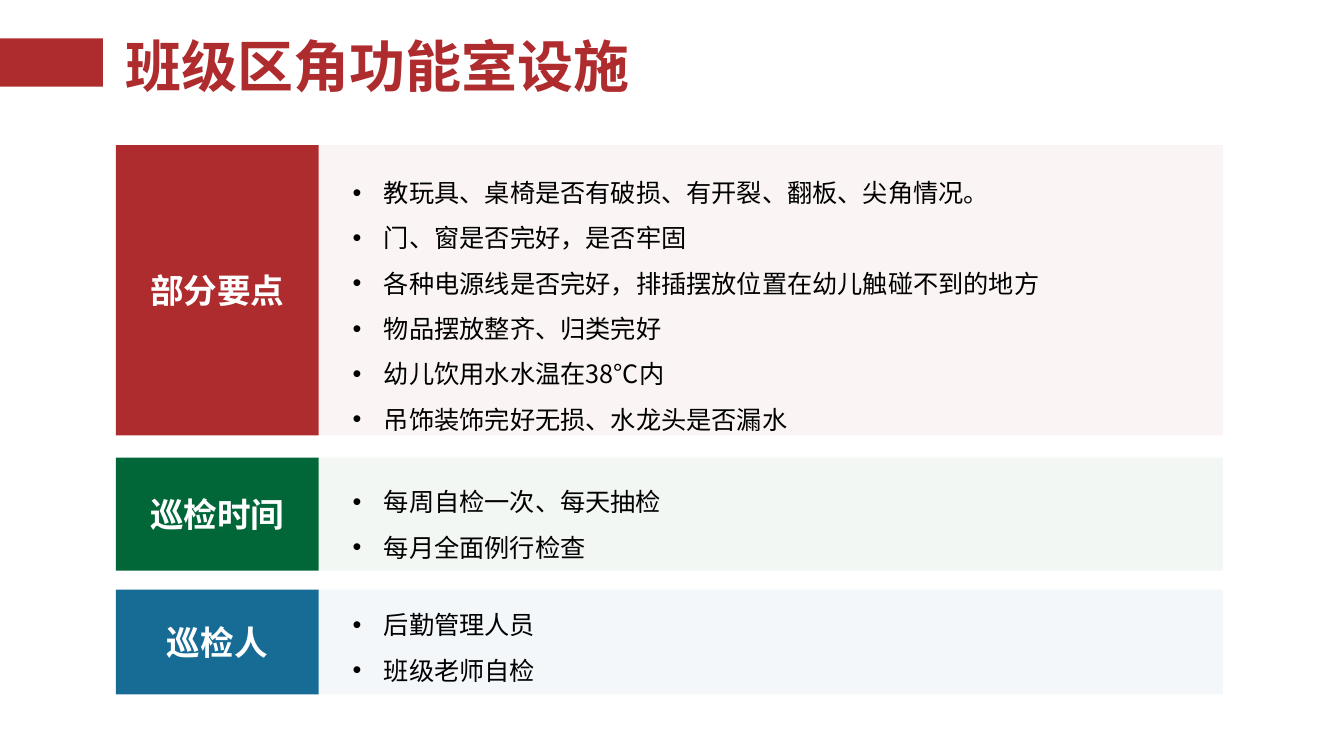
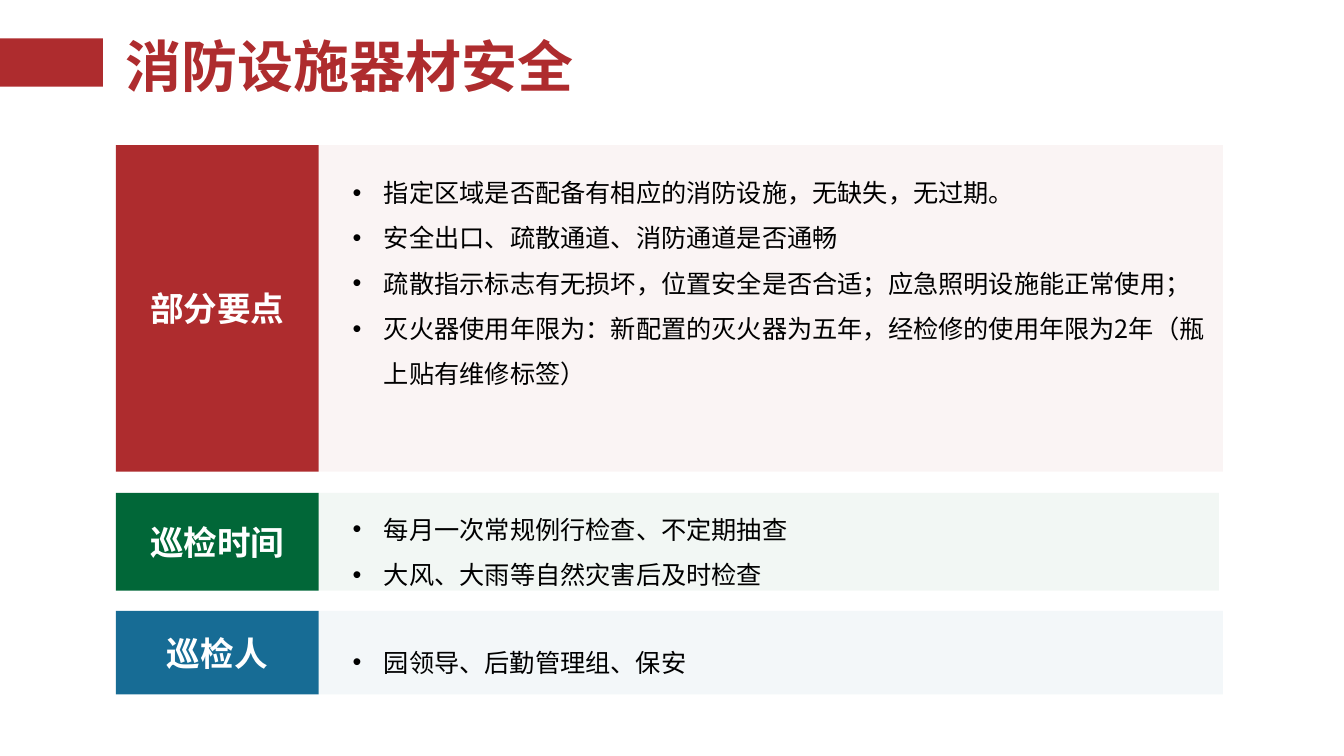
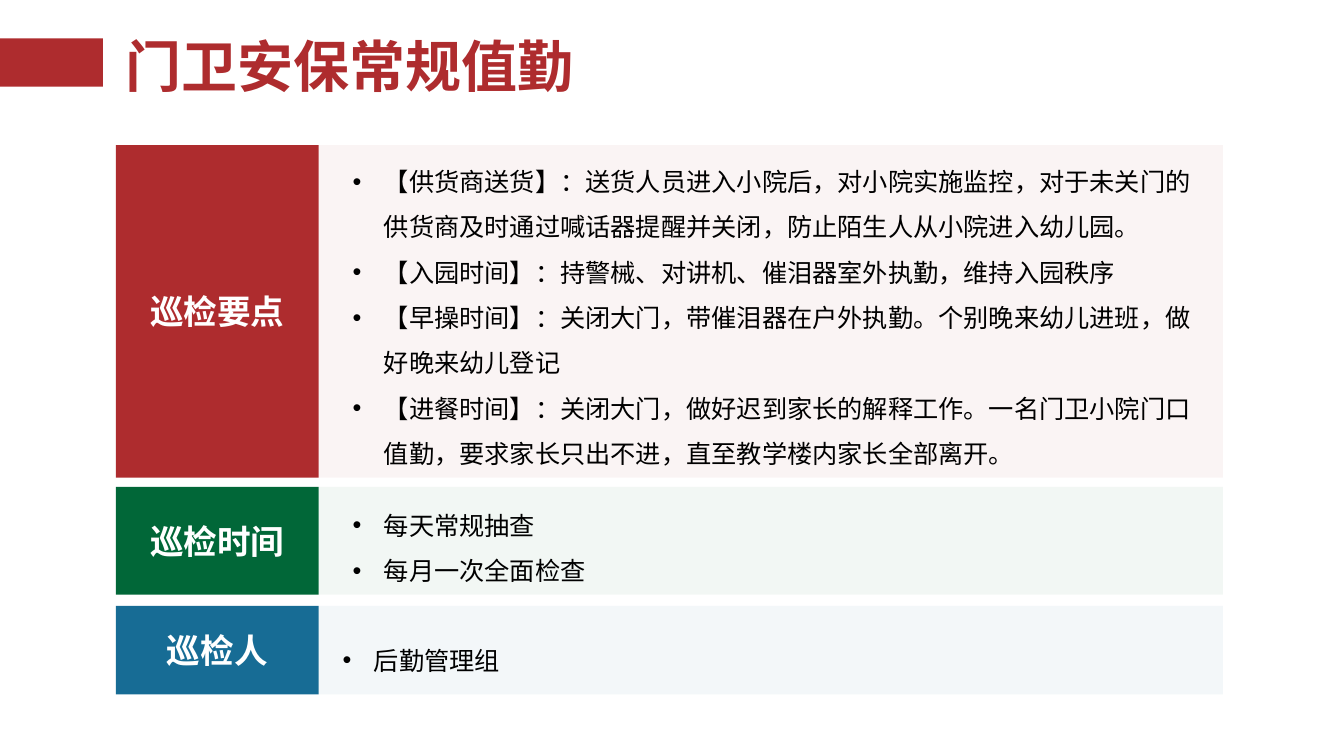
from lxml import etree
from pptx import Presentation
from pptx import util as u
from pptx.dml.color import RGBColor
from pptx.enum import shapes, text
from pptx.oxml.ns import qn

RED = RGBColor(0xAE, 0x2C, 0x2E)
GREEN = RGBColor(0x01, 0x67, 0x38)
BLUE = RGBColor(0x17, 0x6C, 0x95)
WHITE = RGBColor(0xFF, 0xFF, 0xFF)
BLACK = RGBColor(0x00, 0x00, 0x00)

FONT = "Noto Sans CJK SC"
TITLE = {"size": u.Pt(40), "bold": True}
LABEL = {"size": u.Pt(24), "bold": True}
BODY = {"size": u.Pt(18), "bold": False}

LABEL_LEFT, LABEL_WIDTH = 1.15, 2.01
PANEL_LEFT, PANEL_WIDTH = LABEL_LEFT + LABEL_WIDTH, 8.97
TEXT_LEFT, TEXT_WIDTH = 3.4, 4.34
LINE_HEIGHT, BOX_PADDING = 0.455, 0.05
INDENT = 0.31


class Deck:
    def __init__(self):
        self.deck = Presentation()
        self.deck.slide_width = u.Inches(13.33)
        self.deck.slide_height = u.Inches(7.5)
        self.page = None

    def add_page(self, title):
        self.page = self.deck.slides.add_slide(self.deck.slide_layouts[6])
        self.add_title(title)
        self.add_block(0, 0.38, 1.02, 0.48, RED)

    def add_span(self, para, words, style, color):
        span = para.add_run()
        span.text = words
        for name, value in style.items():
            setattr(span.font, name, value)
        span.font.name = FONT
        span.font.color.rgb = color
        east_asian = etree.SubElement(span.font._element, qn("a:ea"))
        east_asian.set("typeface", FONT)

    def add_text_box(self, left, top, width, height):
        box = self.page.shapes.add_textbox(*map(u.Inches, (left, top, width, height)))
        box.text_frame.word_wrap = True
        return box.text_frame

    def add_title(self, words):
        frame = self.add_text_box(LABEL_LEFT, 0.09, 9.19, 1.2)
        frame.vertical_anchor = text.MSO_ANCHOR.MIDDLE
        para = frame.paragraphs[0]
        para.line_spacing = 0.9
        self.add_span(para, words, TITLE, RED)

    def add_block(self, left, top, width, height, color, opacity=100):
        block = self.page.shapes.add_shape(
            shapes.MSO_SHAPE.RECTANGLE, *map(u.Inches, (left, top, width, height)))
        block.shadow.inherit = False
        block.line.fill.background()
        block.fill.solid()
        block.fill.fore_color.rgb = color
        if opacity < 100:
            tint = block._element.spPr.find(".//" + qn("a:srgbClr"))
            etree.SubElement(tint, qn("a:alpha")).set("val", str(opacity * 1000))
        return block

    def add_label(self, top, height, color, words):
        frame = self.add_block(LABEL_LEFT, top, LABEL_WIDTH, height, color).text_frame
        frame.vertical_anchor = text.MSO_ANCHOR.MIDDLE
        para = frame.paragraphs[0]
        para.alignment = text.PP_ALIGN.CENTER
        self.add_span(para, words, LABEL, WHITE)

    def add_bullets(self, left, top, width, lines, items):
        frame = self.add_text_box(left, top, width, lines * LINE_HEIGHT + BOX_PADDING)
        frame.auto_size = text.MSO_AUTO_SIZE.SHAPE_TO_FIT_TEXT
        for index, item in enumerate(items):
            para = frame.add_paragraph() if index else frame.paragraphs[0]
            para.line_spacing = 1.5
            props = para._p.get_or_add_pPr()
            props.set("marL", str(u.Inches(INDENT)))
            props.set("indent", str(u.Inches(-INDENT)))
            etree.SubElement(props, qn("a:buFont")).set("typeface", "Arial")
            etree.SubElement(props, qn("a:buChar")).set("char", "•")
            self.add_span(para, item, BODY, BLACK)

    def add_section(self, color, label, top, height, items, text_top, text_width=TEXT_WIDTH,
                    lines=None, panel_left=PANEL_LEFT, text_left=TEXT_LEFT):
        self.add_block(panel_left, top, PANEL_WIDTH, height, color, opacity=5)
        self.add_label(top, height, color, label)
        self.add_bullets(text_left, text_top, text_width, lines or len(items), items)

    def save(self):
        self.deck.save("out.pptx")


def main():
    deck = Deck()

    # Classroom facilities
    deck.add_page("班级区角功能室设施")
    deck.add_section(RED, "部分要点", 1.44, 2.88, [
        "教玩具、桌椅是否有破损、有开裂、翻板、尖角情况。",
        "门、窗是否完好，是否牢固",
        "各种电源线是否完好，排插摆放位置在幼儿触碰不到的地方",
        "物品摆放整齐、归类完好",
        "幼儿饮用水水温在38°C内",
        "吊饰装饰完好无损、水龙头是否漏水",
    ], text_top=1.56, text_width=7.35)
    deck.add_section(GREEN, "巡检时间", 4.54, 1.12, [
        "每周自检一次、每天抽检",
        "每月全面例行检查",
    ], text_top=4.63)
    deck.add_section(BLUE, "巡检人", 5.85, 1.04, [
        "后勤管理人员",
        "班级老师自检",
    ], text_top=5.85)

    # Fire safety equipment
    deck.add_page("消防设施器材安全")
    deck.add_section(RED, "部分要点", 1.44, 3.24, [
        "指定区域是否配备有相应的消防设施，无缺失，无过期。",
        "安全出口、疏散通道、消防通道是否通畅",
        "疏散指示标志有无损坏，位置安全是否合适；应急照明设施能正常使用；",
        "灭火器使用年限为：新配置的灭火器为五年，经检修的使用年限为2年（瓶上贴有维修标签）",
    ], text_top=1.56, text_width=8.69, lines=5)
    deck.add_section(GREEN, "巡检时间", 4.89, 0.97, [
        "每月一次常规例行检查、不定期抽查",
        "大风、大雨等自然灾害后及时检查",
    ], text_top=4.9, text_width=5.75, panel_left=3.12)
    deck.add_section(BLUE, "巡检人", 6.06, 0.83, [
        "园领导、后勤管理组、保安",
    ], text_top=6.22)

    # Gate security duty
    deck.add_page("门卫安保常规值勤")
    deck.add_section(RED, "巡检要点", 1.44, 3.3, [
        "【供货商送货】：送货人员进入小院后，对小院实施监控，对于未关门的供货商"
        "及时通过喊话器提醒并关闭，防止陌生人从小院进入幼儿园。",
        "【入园时间】：持警械、对讲机、催泪器室外执勤，维持入园秩序",
        "【早操时间】：关闭大门，带催泪器在户外执勤。个别晚来幼儿进班，做好晚来幼儿登记",
        "【进餐时间】：关闭大门，做好迟到家长的解释工作。一名门卫小院门口值勤，"
        "要求家长只出不进，直至教学楼内家长全部离开。",
    ], text_top=1.45, text_width=8.57, lines=7)
    deck.add_section(GREEN, "巡检时间", 4.83, 1.07, [
        "每天常规抽查",
        "每月一次全面检查",
    ], text_top=4.86)
    deck.add_section(BLUE, "巡检人", 6.01, 0.88, [
        "后勤管理组",
    ], text_top=6.2, text_left=3.3)

    deck.save()


if __name__ == "__main__":
    main()
